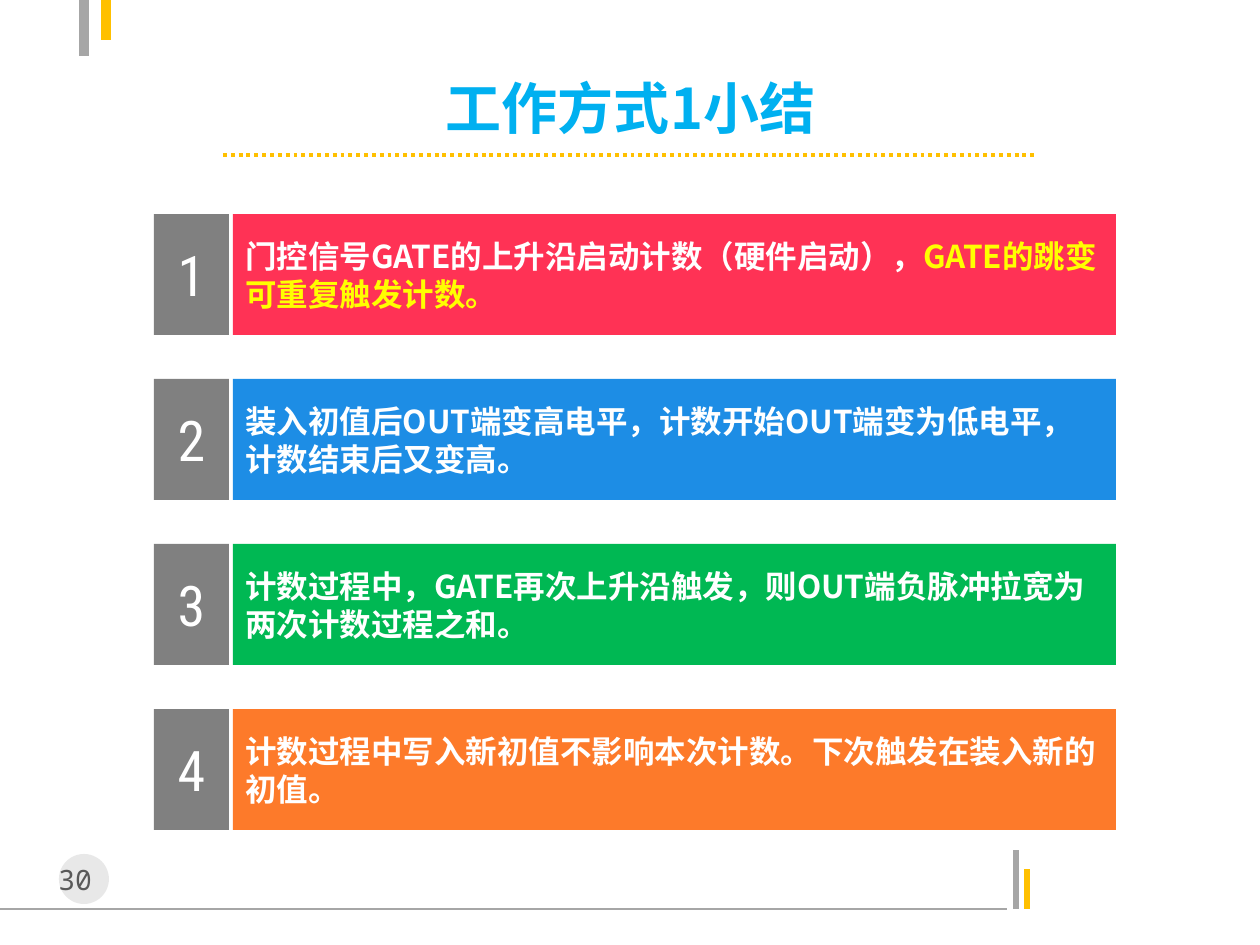
"""Build the summary slide of working mode 1 with four numbered statements."""
from lxml.etree import SubElement
from pptx import Presentation
from pptx.dml.color import RGBColor
from pptx.enum.dml import MSO_LINE_DASH_STYLE as Dash
from pptx.enum.shapes import MSO_CONNECTOR as Connector, MSO_SHAPE as Shape
from pptx.enum.text import MSO_ANCHOR as Anchor, MSO_AUTO_SIZE as AutoSize, PP_ALIGN as Align
from pptx.oxml.ns import qn
from pptx.util import Emu, Pt

PX = 914400 / 126
SANS = "Noto Sans CJK SC"
color = RGBColor.from_string


def px(*lengths):
    return [Emu(round(length * PX)) for length in lengths]


def style(para, size, name, hue, bold=False, align=Align.LEFT):
    para.alignment = align
    para.font.size, para.font.name, para.font.bold = Pt(size), name, bold
    para.font.color.rgb = color(hue)
    SubElement(para.font._element, qn("a:ea")).set("typeface", name)


deck = Presentation()
deck.slide_width, deck.slide_height = px(1260, 945)
page = deck.slides.add_slide(deck.slide_layouts[5])

for x1, y1, x2, y2, hue, width, dash in [
    (0, 909, 1007, 909, "A6A6A6", 0.75, None),
    (1016, 909, 1016, 850, "A6A6A6", 3, None),
    (1027, 909, 1027, 869, "FFC000", 3, None),
    (84, 56, 84, 0, "A6A6A6", 6, None),
    (106, 0, 106, 40, "FFC000", 6, None),
    (223, 155, 1037, 155, "FFC000", 2.25, Dash.ROUND_DOT),
]:
    line = page.shapes.add_connector(Connector.STRAIGHT, *px(x1, y1, x2, y2))
    line.line.color.rgb = color(hue)
    line.line.width = Pt(width)
    line.line.dash_style = dash
    SubElement(line._element.spPr, qn("a:effectLst"))

circle = page.shapes.add_shape(Shape.OVAL, *px(59, 854, 50, 50))
circle.shadow.inherit = False
circle.fill.solid()
circle.fill.fore_color.rgb = color("BFBFBF")
fill_color = circle._element.spPr.find(qn("a:solidFill"))[0]
SubElement(fill_color, qn("a:alpha")).set("val", "35000")
circle.line.fill.background()

number_box = page.shapes.add_textbox(*px(39, 856, 89, 46))
number_box.text_frame.word_wrap = True
number_box.text_frame.text = "30 "
style(number_box.text_frame.paragraphs[0], 16, "Noto Sans Mono", "595959", align=Align.CENTER)

title = page.shapes.title
title.left, title.top, title.width, title.height = px(174, 76, 913, 63)
title.text_frame.text = "工作方式1小结"
title.text_frame.auto_size = AutoSize.NONE
title.text_frame.word_wrap = False
title.text_frame.vertical_anchor = Anchor.MIDDLE
style(title.text_frame.paragraphs[0], 32, SANS, "00B0F0", True, Align.CENTER)

statements = [
    ("FF3255", "门控信号GATE的上升沿启动计数（硬件启动），", "GATE的跳变可重复触发计数。"),
    ("1D8DE5", "装入初值后OUT端变高电平，计数开始OUT端变为低电平，计数结束后又变高。", ""),
    ("00B853", "计数过程中，GATE再次上升沿触发，则OUT端负脉冲拉宽为两次计数过程之和。", ""),
    ("FD7A2A", "计数过程中写入新初值不影响本次计数。下次触发在装入新的初值。", ""),
]
for index, (hue, statement, highlight) in enumerate(statements):
    top = 214 + 165 * index
    for left, width, fill, text, font in [
        (154, 75, "808080", str(index + 1), (32, "Roboto Condensed", "FFFFFF", False, Align.CENTER)),
        (233, 883, hue, statement, (18, SANS, "FFFFFF", True)),
    ]:
        box = page.shapes.add_shape(Shape.RECTANGLE, *px(left, top, width, 121))
        box.shadow.inherit = False
        box.fill.solid()
        box.fill.fore_color.rgb = color(fill)
        box.line.fill.background()
        box.text_frame.word_wrap = True
        box.text_frame.vertical_anchor = Anchor.MIDDLE
        para = box.text_frame.paragraphs[0]
        para.text = text
        style(para, *font)
    if highlight:
        span = para.add_run()
        span.text = highlight
        span.font.color.rgb = color("FFFF00")

deck.save("out.pptx")
